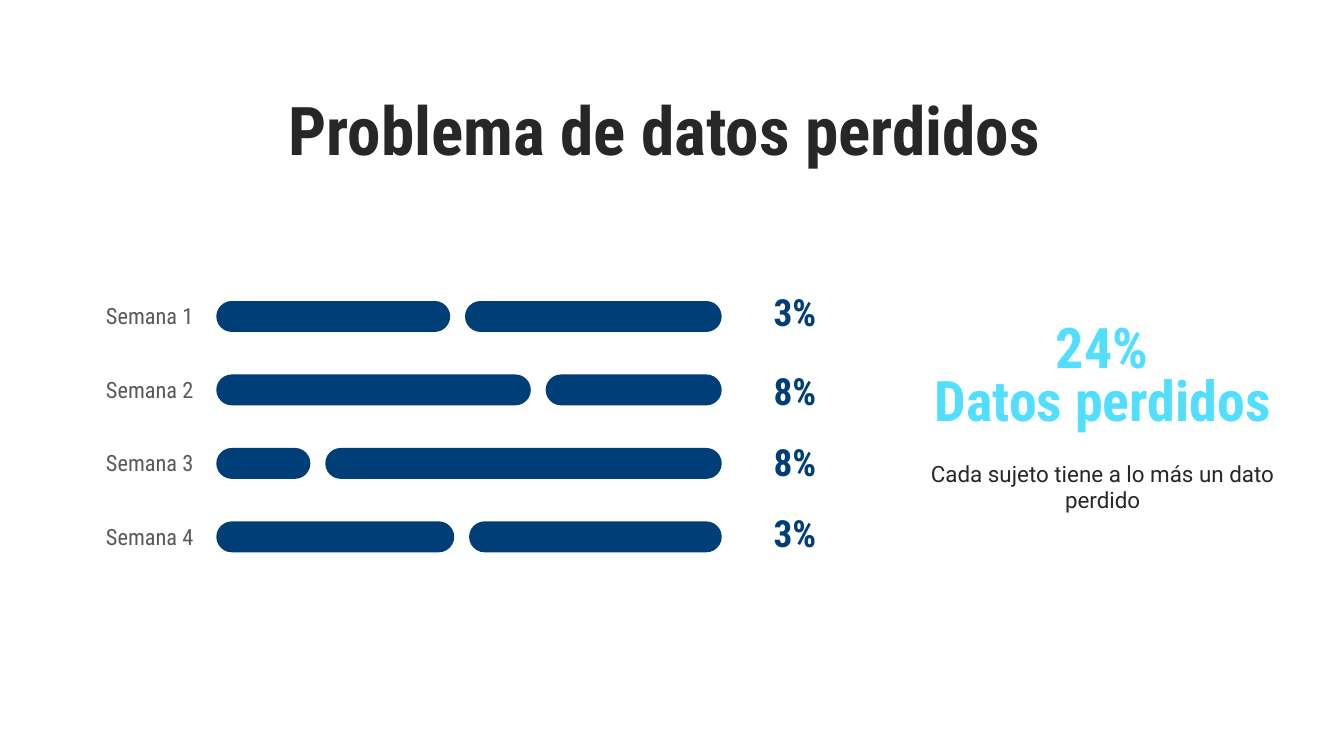
from pptx import Presentation
from pptx.dml.color import RGBColor
from pptx.enum.shapes import MSO_SHAPE as Shape
from pptx.enum.text import MSO_ANCHOR as Anchor, PP_ALIGN as Align
from pptx.util import Inches, Pt

COLORS = {"dark": "272727", "navy": "003E78", "gray": "595959", "cyan": "52DEFF"}
CONDENSED = "Roboto Condensed"

prs = Presentation()
prs.slide_width, prs.slide_height = Inches(10), Inches(10 * 9 / 16)
slide = prs.slides.add_slide(prs.slide_layouts[6])


def add_label(text, left, top, width, height, size, color, bold=False,
              align=Align.CENTER, font=CONDENSED, anchor=Anchor.MIDDLE):
    frame = slide.shapes.add_textbox(
        Inches(left), Inches(top), Inches(width), Inches(height)).text_frame
    frame.word_wrap = True
    frame.vertical_anchor = anchor
    frame.margin_left = frame.margin_right = Inches(0.1)
    frame.margin_top = frame.margin_bottom = Inches(0.1)
    paragraph = frame.paragraphs[0]
    paragraph.text = text
    paragraph.alignment = align
    paragraph.font.size = Pt(size)
    paragraph.font.name = font
    paragraph.font.bold = bold
    paragraph.font.color.rgb = RGBColor.from_string(COLORS[color])


add_label("Problema de datos perdidos ", 0.34, 0.5, 9.32, 0.92, 36, "dark", bold=True)

# Each week's bar is split by a gap where data are missing
first_row, last_row = 2.24, 3.88
bar_left, bar_right, bar_height, gap = 1.61, 5.37, 0.23, 0.11
weeks = [  # name, width before the gap, missing share, top of the share
    ("Semana 1", 1.74, "3%", 2.14),
    ("Semana 2", 2.34, "8%", 2.73),
    ("Semana 3", 0.70, "8%", 3.26),
    ("Semana 4", 1.77, "3%", 3.79),
]
row_pitch = (last_row - first_row) / (len(weeks) - 1)
for row, (week, before_gap, missing, missing_top) in enumerate(weeks):
    top = first_row + row * row_pitch
    after_gap = bar_left + before_gap + gap
    for left, width in ((bar_left, before_gap), (after_gap, bar_right - after_gap)):
        bar = slide.shapes.add_shape(
            Shape.ROUNDED_RECTANGLE,
            Inches(left), Inches(top), Inches(width), Inches(bar_height))
        bar.adjustments[0] = 0.5
        bar.shadow.inherit = False
        bar.fill.solid()
        bar.fill.fore_color.rgb = RGBColor.from_string(COLORS["navy"])
        bar.line.fill.background()
    add_label(week, 0.69, top, 0.98, 0.22, 12, "gray", align=Align.LEFT)
    add_label(missing, 5.58, missing_top, 0.67, 0.35, 20, "navy", bold=True)

# Overall result
add_label("24%", 6.98, 2.34, 2.44, 0.47, 30, "cyan", bold=True)
add_label("Datos perdidos", 6.82, 2.82, 2.77, 0.3, 30, "cyan", bold=True)
add_label("Cada sujeto tiene a lo más un dato perdido", 6.82, 3.32, 2.77, 0.69,
          12, "dark", font="Roboto", anchor=Anchor.TOP)

prs.save("out.pptx")
